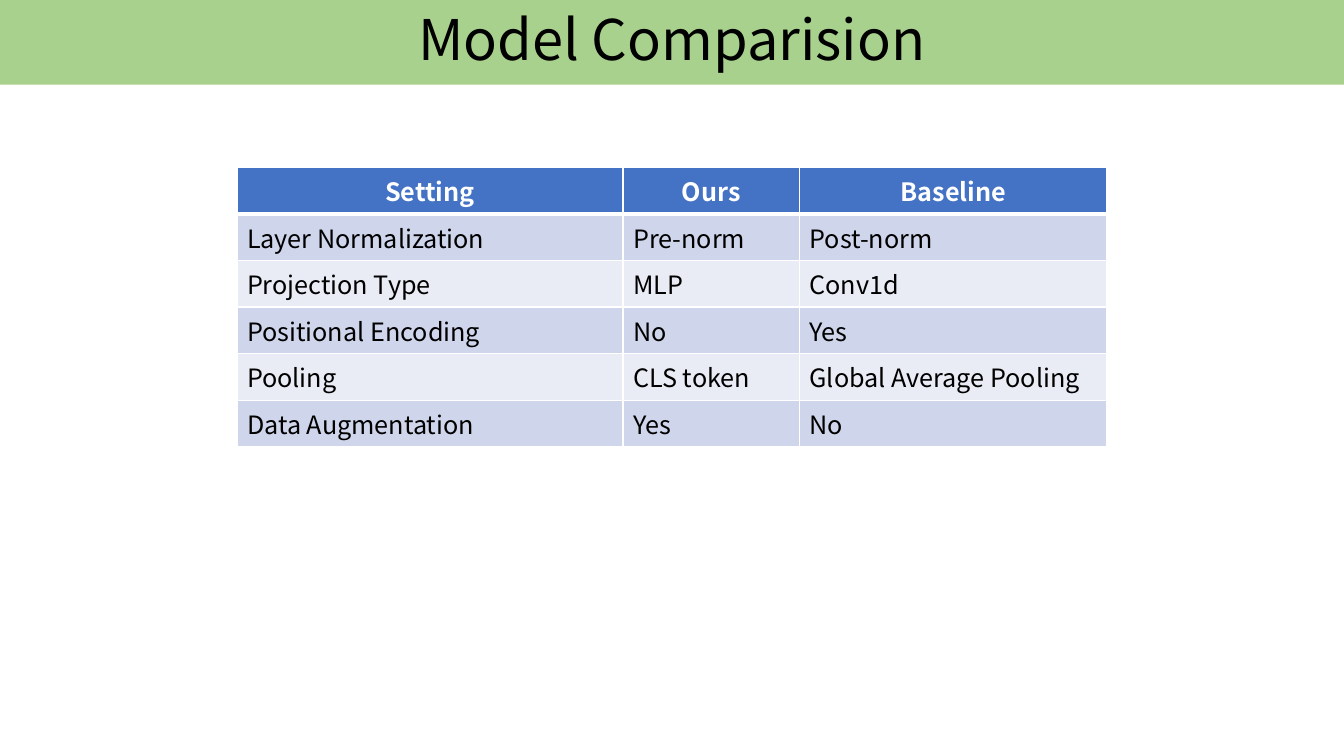
"""Build the model comparison slide."""
import lxml.etree
import pptx
import pptx.dml.color
import pptx.enum.text
import pptx.oxml.ns
import pptx.util

Inches = pptx.util.Inches
FONT = "Noto Sans CJK KR"
TITLE = "Model Comparision"
ROWS = [
    ("Setting", "Ours", "Baseline"),
    ("Layer Normalization", "Pre-norm", "Post-norm"),
    ("Projection Type", "MLP", "Conv1d"),
    ("Positional Encoding", "No", "Yes"),
    ("Pooling", "CLS token", "Global Average Pooling"),
    ("Data Augmentation", "Yes", "No"),
]
COLUMN_WIDTHS = (3.83, 1.75, 3.05)
ROW_HEIGHT = 0.41
TABLE_LEFT, TABLE_TOP = 2.35, 1.66
SLIDE_WIDTH, SLIDE_HEIGHT, TITLE_HEIGHT = 13.33, 7.5, 0.84
HEADER_FILL, BAND_FILLS = "4472C4", ("E9EBF5", "CFD5EA")
TITLE_FILL, BLACK, WHITE = "A9D18E", "000000", "FFFFFF"


def set_fill(fill, color):
    fill.solid()
    fill.fore_color.rgb = pptx.dml.color.RGBColor.from_string(color)


def format_text(text_frame, size, color, bold=False, centred=False):
    align = pptx.enum.text.PP_ALIGN
    paragraph = text_frame.paragraphs[0]
    paragraph.alignment = align.CENTER if centred else align.LEFT
    font = paragraph.runs[0].font
    font.name, font.size, font.bold = FONT, pptx.util.Pt(size), bold
    set_fill(font.fill, color)


def set_borders(cell, widths):
    qn = pptx.oxml.ns.qn
    properties = cell._tc.get_or_add_tcPr()
    for side, width in widths.items():
        line = lxml.etree.SubElement(properties, qn(f"a:ln{side}"), w=str(pptx.util.Pt(width)))
        fill = lxml.etree.SubElement(line, qn("a:solidFill"))
        lxml.etree.SubElement(fill, qn("a:srgbClr"), val=WHITE)


def add_table(slide):
    table = slide.shapes.add_table(
        len(ROWS), len(COLUMN_WIDTHS), Inches(TABLE_LEFT), Inches(TABLE_TOP),
        Inches(sum(COLUMN_WIDTHS)), Inches(ROW_HEIGHT * len(ROWS))).table
    for column, width in zip(table.columns, COLUMN_WIDTHS):
        column.width = Inches(width)
    for row_index, texts in enumerate(ROWS):
        table.rows[row_index].height = Inches(ROW_HEIGHT)
        header = row_index == 0
        for column_index, text in enumerate(texts):
            cell = table.cell(row_index, column_index)
            cell.text_frame.text = text
            format_text(cell.text_frame, 18, WHITE if header else BLACK, header, header)
            set_borders(cell, {"L": 1, "R": 1, "T": 3 if row_index == 1 else 1, "B": 3 if header else 1})
            set_fill(cell.fill, HEADER_FILL if header else BAND_FILLS[row_index % 2])


def add_title(slide):
    title = slide.shapes.title
    title.left, title.top = 0, 0
    title.width, title.height = Inches(SLIDE_WIDTH), Inches(TITLE_HEIGHT)
    set_fill(title.fill, TITLE_FILL)
    text_frame = title.text_frame
    text_frame.text = TITLE
    text_frame.word_wrap = True
    text_frame.auto_size = pptx.enum.text.MSO_AUTO_SIZE.NONE
    text_frame.vertical_anchor = pptx.enum.text.MSO_ANCHOR.MIDDLE
    text_frame.paragraphs[0].line_spacing = 0.9
    format_text(text_frame, 40, BLACK, centred=True)


def main():
    presentation = pptx.Presentation()
    presentation.slide_width = Inches(SLIDE_WIDTH)
    presentation.slide_height = Inches(SLIDE_HEIGHT)
    slide = presentation.slides.add_slide(presentation.slide_layouts[5])
    add_title(slide)
    add_table(slide)
    presentation.save("out.pptx")


if __name__ == "__main__":
    main()
